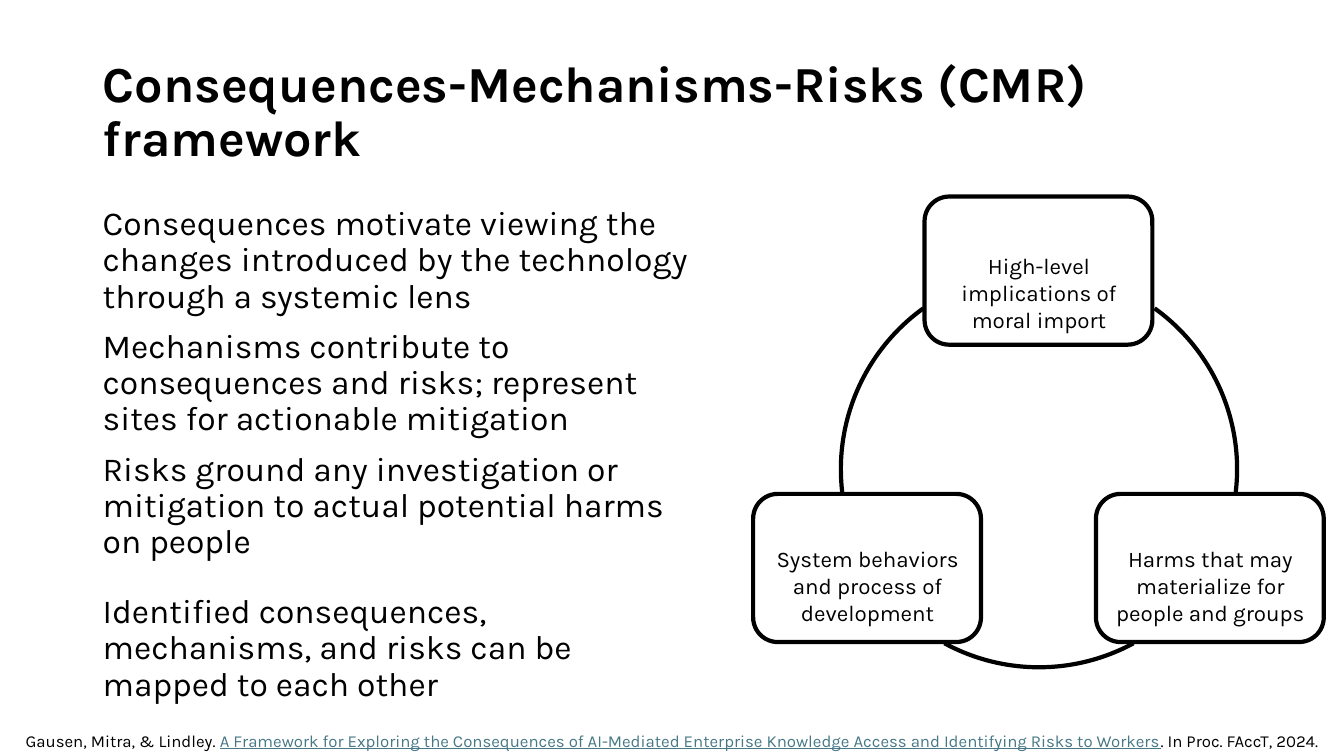
from pptx import Presentation
from pptx.dml.color import RGBColor
from pptx.enum.shapes import MSO_SHAPE as Shape
from pptx.enum.text import MSO_ANCHOR as Anchor, PP_ALIGN as Align
from pptx.util import Inches, Pt

COLORS = {"text": "000000", "line": "000000", "box": "FFFFFF", "citation": "467886"}
FONT = "Karla"

BODY = [
    ("Consequences motivate viewing the changes introduced by the technology "
     "through a systemic lens", 0),
    ("Mechanisms contribute to consequences and risks; represent sites for "
     "actionable mitigation", 10),
    ("Risks ground any investigation or mitigation to actual potential harms on people", 10),
    ("Identified consequences, mechanisms, and risks can be mapped to each other", 24),
]
BOX_SIZE = (2.26, 1.47)
# box left, box top, label top, start and end angle of the arc that leaves the box
CYCLE = [
    (9.17, 1.95, 2.45, 305.7, 6.6),
    (10.87, 4.9, 5.36, 61.5, 118.5),
    (7.47, 4.9, 5.36, 173.4, 234.3),
]
LABELS = [
    "High-level implications of moral import",
    "Harms that may materialize for people and groups",
    "System behaviors and process of development",
]
CIRCLE = (8.34, 2.69, 3.93, 3.93)


def color(name):
    return RGBColor.from_string(COLORS[name])


class SlideBuilder:
    def __init__(self, presentation):
        self.slide = presentation.slides.add_slide(presentation.slide_layouts[5])

    def add_run(self, paragraph, text, size, color_name="text", bold=False, underline=False):
        run = paragraph.add_run()
        run.text = text
        font = run.font
        font.name, font.size = FONT, Pt(size)
        font.bold, font.underline = bold, underline
        font.color.rgb = color(color_name)

    def title(self, text, left, top, width, height):
        shape = self.slide.shapes.title
        shape.left, shape.top = Inches(left), Inches(top)
        shape.width, shape.height = Inches(width), Inches(height)
        shape.text_frame.vertical_anchor = Anchor.MIDDLE
        paragraph = shape.text_frame.paragraphs[0]
        paragraph.alignment = Align.LEFT
        paragraph.line_spacing = 0.9
        self.add_run(paragraph, text, 36, bold=True)

    def text_frame(self, left, top, width, height):
        box = self.slide.shapes.add_textbox(
            Inches(left), Inches(top), Inches(width), Inches(height))
        box.text_frame.word_wrap = True
        return box.text_frame

    def body(self, items, *area):
        frame = self.text_frame(*area)
        for index, (text, space_before) in enumerate(items):
            paragraph = frame.add_paragraph() if index else frame.paragraphs[0]
            paragraph.line_spacing = 0.9
            paragraph.space_before = Pt(space_before)
            self.add_run(paragraph, text, 24)

    def centered_text(self, runs, size, *area):
        """Add one centred line of runs, each a (text, colour name, underline) tuple."""
        paragraph = self.text_frame(*area).paragraphs[0]
        paragraph.alignment = Align.CENTER
        for text, color_name, underline in runs:
            self.add_run(paragraph, text, size, color_name, underline=underline)

    def outlined_shape(self, kind, left, top, width, height):
        shape = self.slide.shapes.add_shape(
            kind, Inches(left), Inches(top), Inches(width), Inches(height))
        shape.shadow.inherit = False
        shape.line.color.rgb = color("line")
        shape.line.width = Pt(3)
        return shape

    def rounded_box(self, *area):
        shape = self.outlined_shape(Shape.ROUNDED_RECTANGLE, *area)
        shape.fill.solid()
        shape.fill.fore_color.rgb = color("box")

    def arc(self, start, end, *area):
        """Draw a clockwise arc; angles are in degrees from the right."""
        shape = self.outlined_shape(Shape.ARC, *area)
        shape.fill.background()
        for index, angle in enumerate((start, end)):
            shape.adjustments[index] = angle * 0.6  # 60000 units per degree / 100000


def main():
    presentation = Presentation()
    presentation.slide_width, presentation.slide_height = Inches(13.33), Inches(7.5)
    builder = SlideBuilder(presentation)
    builder.title("Consequences-Mechanisms-Risks (CMR) framework", 0.92, 0.4, 11.5, 1.45)
    builder.body(BODY, 0.92, 2, 6.1, 4.76)
    for left, top, _, start, end in CYCLE:
        builder.rounded_box(left, top, *BOX_SIZE)
        builder.arc(start, end, *CIRCLE)
    for text, (left, _, label_top, _, _) in zip(LABELS, CYCLE):
        builder.centered_text([(text, "text", False)], 16, left, label_top, 2.27, 0.91)
    builder.centered_text([
        ("Gausen, Mitra, & Lindley. ", "text", False),
        ("A Framework for Exploring the Consequences of AI-Mediated Enterprise Knowledge "
         "Access and Identifying Risks to Workers", "citation", True),
        (". In Proc. FAccT, 2024.", "text", False),
    ], 12, 0, 7.2, 13.33, 0.3)
    presentation.save("out.pptx")


if __name__ == "__main__":
    main()
